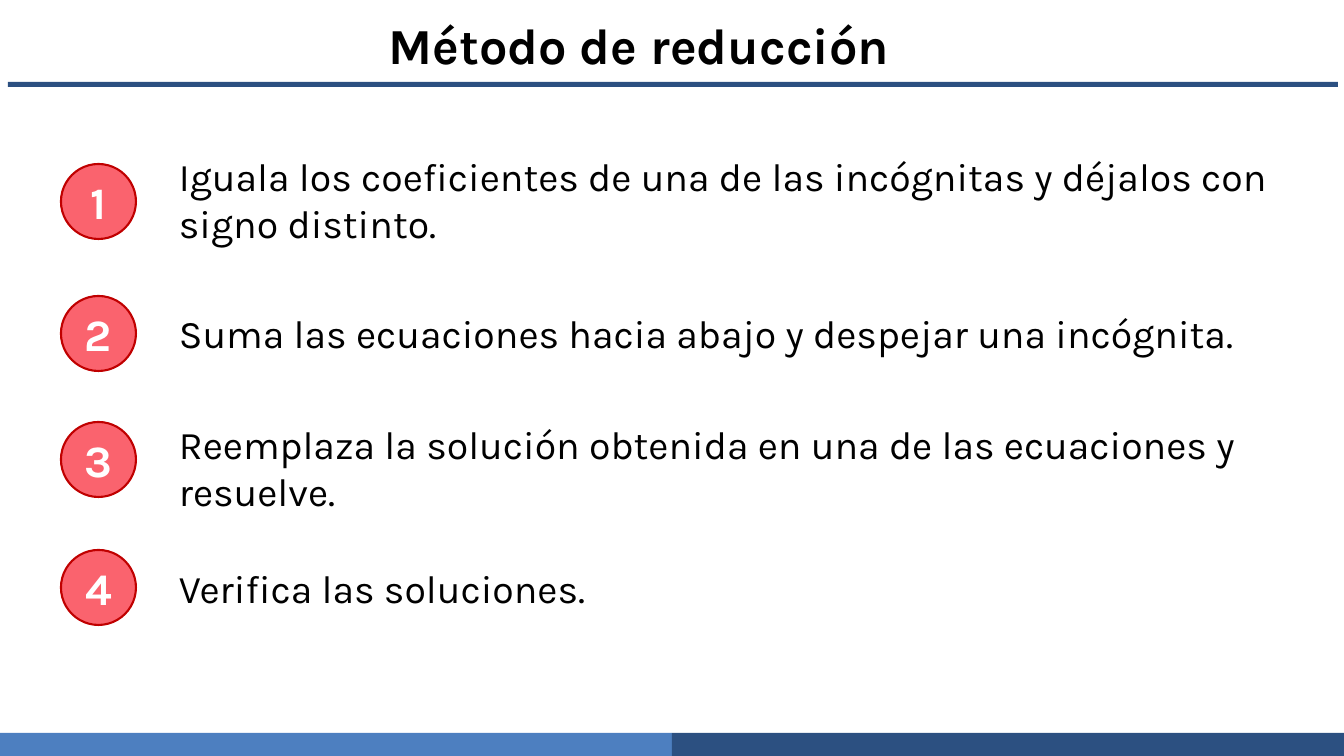
from dataclasses import dataclass

from pptx import Presentation
from pptx.dml.color import RGBColor
from pptx.enum.shapes import MSO_SHAPE as Shape
from pptx.enum.text import MSO_ANCHOR as Anchor, PP_ALIGN as Align
from pptx.util import Emu, Pt

WIDTH, HEIGHT = 1344, 756
EMU_PER_PX = 12192000 / WIDTH


def px(length):
    return Emu(round(length * EMU_PER_PX))


@dataclass(frozen=True)
class Theme:
    font: str = "Karla"
    ink: str = "000000"
    white: str = "FFFFFF"
    light_blue: str = "4D7FC0"
    dark_blue: str = "2C5081"
    badge: str = "FA636E"
    badge_edge: str = "C00000"
    title_size: int = 36
    number_size: int = 32
    body_size: int = 28
    edge_width: float = 1.5


class SlideBuilder:
    def __init__(self, slide, theme):
        self.slide = slide
        self.theme = theme

    def set_text(self, frame, text, size, color, bold=False, align=Align.LEFT):
        paragraph = frame.paragraphs[0]
        paragraph.text = text
        paragraph.alignment = align
        font = paragraph.font
        font.name = self.theme.font
        font.size = Pt(size)
        font.bold = bold
        font.color.rgb = RGBColor.from_string(color)

    def shape(self, kind, box, fill):
        shape = self.slide.shapes.add_shape(kind, *map(px, box))
        shape.shadow.inherit = False
        shape.fill.solid()
        shape.fill.fore_color.rgb = RGBColor.from_string(fill)
        shape.line.fill.background()
        return shape

    def bar(self, box, fill):
        self.shape(Shape.RECTANGLE, box, fill)

    def text(self, box, text, size, **style):
        frame = self.slide.shapes.add_textbox(*map(px, box)).text_frame
        frame.word_wrap = True
        self.set_text(frame, text, size, self.theme.ink, **style)

    def badge(self, box, number):
        theme = self.theme
        circle = self.shape(Shape.OVAL, box, theme.badge)
        circle.line.color.rgb = RGBColor.from_string(theme.badge_edge)
        circle.line.width = Pt(theme.edge_width)
        circle.text_frame.vertical_anchor = Anchor.MIDDLE
        self.set_text(circle.text_frame, str(number), theme.number_size,
                      theme.white, bold=True, align=Align.CENTER)


# Steps: badge top, text top, text height, wording
STEPS = [
    (164, 147, 105, "Iguala los coeficientes de una de las incógnitas y "
                    "déjalos con signo distinto."),
    (296, 304, 57, "Suma las ecuaciones hacia abajo y despejar una incógnita."),
    (422, 415, 105, "Reemplaza la solución obtenida en una de las ecuaciones "
                    "y resuelve."),
    (550, 559, 57, "Verifica las soluciones."),
]
BADGE_LEFT, BADGE_SIZE = 61, 75
TEXT_LEFT, TEXT_WIDTH = 169, 1123
FOOTER_HEIGHT = 23


def main():
    presentation = Presentation()
    presentation.slide_width = px(WIDTH)
    presentation.slide_height = px(HEIGHT)
    slide = presentation.slides.add_slide(presentation.slide_layouts[6])
    theme = Theme()
    builder = SlideBuilder(slide, theme)

    # Footer in two halves
    half = WIDTH // 2
    for column, color in enumerate((theme.light_blue, theme.dark_blue)):
        builder.bar((column * half, HEIGHT - FOOTER_HEIGHT, half, FOOTER_HEIGHT),
                    color)

    # Title and its rule
    builder.bar((8, 82, 1330, 5), theme.dark_blue)
    builder.text((149, 9, 980, 72), "Método de reducción", theme.title_size,
                 bold=True, align=Align.CENTER)

    # Numbered steps
    for number, (badge_top, text_top, height, wording) in enumerate(STEPS, 1):
        builder.badge((BADGE_LEFT, badge_top, BADGE_SIZE, BADGE_SIZE), number)
        builder.text((TEXT_LEFT, text_top, TEXT_WIDTH, height), wording,
                     theme.body_size)

    presentation.save("out.pptx")


if __name__ == "__main__":
    main()
